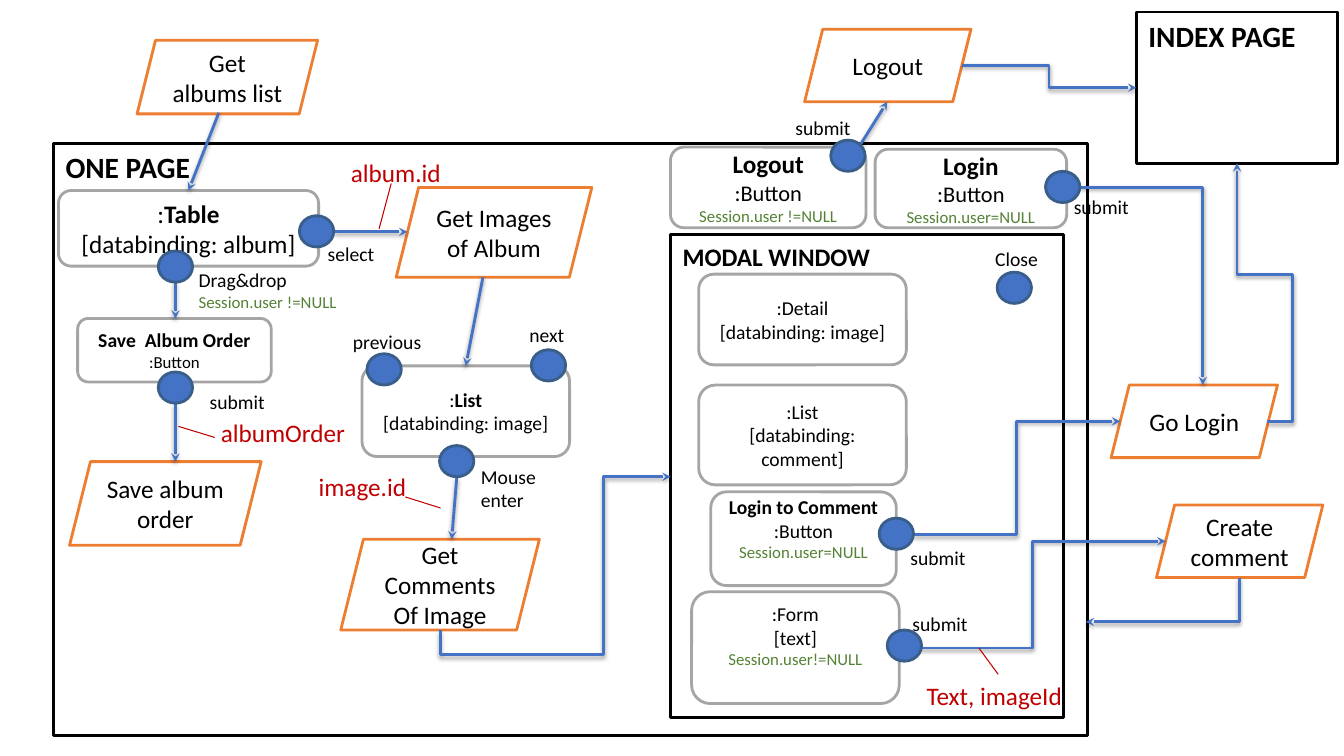
from dataclasses import dataclass

from lxml import etree
from pptx import Presentation
from pptx import util as u
from pptx.dml.color import RGBColor
from pptx.enum import shapes, text
from pptx.oxml import parse_xml
from pptx.oxml.ns import nsdecls, qn

Inches = u.Inches


@dataclass(frozen=True)
class Theme:
    font: str = "Calibri"
    ink: str = "000000"
    paper: str = "FFFFFF"
    action: str = "ED7D31"
    component: str = "A5A5A5"
    flow: str = "4472C4"
    dot_edge: str = "395E89"
    parameter: str = "C00000"
    condition: str = "548235"
    page: int = 21
    large: int = 18
    medium: int = 16
    normal: int = 14
    small: int = 12
    stroke: float = 2
    hairline: float = 0.75


T = Theme()
rgb = RGBColor.from_string
PRESET = shapes.MSO_SHAPE
LEFT, CENTRE = text.PP_ALIGN.LEFT, text.PP_ALIGN.CENTER
TOP, MIDDLE = text.MSO_ANCHOR.TOP, text.MSO_ANCHOR.MIDDLE


def write(shape, lines, size=T.normal, color=T.ink, align=LEFT, anchor=TOP,
          bottom=0.06, fill=None, edge=None):
    """Write lines of text or (text, size, colour); *stars* mark bold."""
    frame = shape.text_frame
    frame.word_wrap = True
    frame.auto_size = text.MSO_AUTO_SIZE.NONE
    frame.vertical_anchor = anchor
    frame.margin_left = frame.margin_right = Inches(0.12)
    frame.margin_top, frame.margin_bottom = Inches(0.06), Inches(bottom)
    for i, line in enumerate(lines):
        words, line_size, line_color = (
            (line, size, color) if isinstance(line, str) else line)
        paragraph = frame.paragraphs[0] if i == 0 else frame.add_paragraph()
        paragraph.alignment = align
        for j, part in enumerate(words.split("*")):
            if part:
                run = paragraph.add_run()
                run.text = part
                run.font.name, run.font.size = T.font, u.Pt(line_size)
                run.font.bold = j % 2 == 1
                run.font.color.rgb = rgb(line_color)
    if fill:
        shape.fill.solid()
        shape.fill.fore_color.rgb = rgb(fill)
    else:
        shape.fill.background()
    if edge:
        shape.line.color.rgb = rgb(edge)
        shape.line.width = u.Pt(T.stroke)
    else:
        shape.line.fill.background()


def connect(x1, y1, x2, y2, bends=0, turned=False, adjust=(),
            color=T.flow, width=T.stroke, arrow=True):
    """Draw a straight line, or an elbow with the given number of bends."""
    if turned:  # the box of a connector turned by 90 degrees
        cx, cy, dx, dy = (x1 + x2) / 2, (y1 + y2) / 2, x2 - x1, y2 - y1
        x1, y1, x2, y2 = cx - dy / 2, cy + dx / 2, cx + dy / 2, cy - dx / 2
    kind = shapes.MSO_CONNECTOR.ELBOW if bends else shapes.MSO_CONNECTOR.STRAIGHT
    line = slide.shapes.add_connector(kind, *map(Inches, (x1, y1, x2, y2)))
    line.line.color.rgb = rgb(color)
    line.line.width = u.Pt(width)
    props = line._element.spPr
    if turned:
        props.find(qn("a:xfrm")).set("rot", "5400000")
    if bends:
        geometry = props.find(qn("a:prstGeom"))
        geometry.set("prst", f"bentConnector{bends + 1}")
        guides = geometry.find(qn("a:avLst"))
        for n, share in enumerate(adjust, 1):
            etree.SubElement(guides, qn("a:gd"), name=f"adj{n}",
                             fmla=f"val {round(share * 100000)}")
    shadow = ""
    if arrow:
        etree.SubElement(props.find(qn("a:ln")), qn("a:tailEnd"), type="stealth")
        shadow = ('<a:outerShdw blurRad="39370" dist="20320" dir="5400000" rotWithShape="0">'
                  '<a:srgbClr val="000000"><a:alpha val="38000"/></a:srgbClr></a:outerShdw>')
    props.append(parse_xml(f"<a:effectLst {nsdecls('a')}>{shadow}</a:effectLst>"))


deck = Presentation()
deck.slide_width, deck.slide_height = Inches(13.33), Inches(7.5)
slide = deck.slides.add_slide(deck.slide_layouts[5])

# Main page frame, carrying the slide title
one_page = slide.shapes.title
one_page.left, one_page.top, one_page.width, one_page.height = map(
    Inches, (0.53, 1.42, 10.26, 5.88))
write(one_page, ["*ONE PAGE*"], size=T.page, fill=T.paper, edge=T.ink)

# Parameters in red; the white ones lie under the diagram
for place, name, fill in [
    ((3.36, 1.5, 1.39, 0.5), "album.id", T.paper),
    ((3.04, 4.62, 1.22, 0.42), "image.id", T.paper),
    ((2.07, 4.08, 1.5, 0.42), "albumOrder", T.paper),
    ((9.07, 6.69, 1.67, 0.5), "Text, imageId", None),
]:
    parameter = slide.shapes.add_textbox(*map(Inches, place))
    write(parameter, [name], size=T.large, color=T.parameter, fill=fill)

# Server actions
for place, name in [
    ((1.36, 0.4, 1.79, 0.73), "Get albums list"),
    ((3.93, 1.86, 1.94, 0.89), "Get Images of Album"),
    ((0.69, 4.58, 1.9, 0.83), "Save album order"),
    ((3.38, 5.35, 1.97, 0.9), "Get Comments Of Image"),
    ((7.98, 0.29, 1.65, 0.72), "Logout"),
    ((11.02, 3.82, 1.65, 0.72), "Go Login"),
    ((11.47, 5.01, 1.65, 0.72), "Create comment"),
]:
    action = slide.shapes.add_shape(PRESET.PARALLELOGRAM, *map(Inches, place))
    action.shadow.inherit = False
    write(action, [name], size=T.large, align=CENTRE, anchor=MIDDLE,
          fill=T.paper, edge=T.action)

# View components
logged_in = ("Session.user !=NULL", T.small, T.condition)
logged_in_form = ("Session.user!=NULL", T.small, T.condition)
logged_out = ("Session.user=NULL", T.small, T.condition)
header_button = (":Button", T.medium, T.ink)
for place, lines, size, bottom in [
    ((0.58, 1.89, 2.58, 0.75), [":*Table*", "[databinding: album]"], T.large, 0.06),
    ((0.77, 3.16, 1.92, 0.63),
     ["*Save  Album Order*", (":Button", T.small, T.ink)], T.normal, 0.06),
    ((3.59, 3.63, 2.06, 0.9), [":*List*", "[databinding: image]"], T.normal, 0.06),
    ((6.65, 1.46, 1.94, 0.8), ["*Logout*", header_button, logged_in], T.large, 0.06),
    ((8.68, 1.48, 1.9, 0.78), ["*Login*", header_button, logged_out], T.large, 0.06),
    ((6.93, 2.72, 2.06, 0.9), [":Detail", "[databinding: image]"], T.normal, 0.06),
    ((6.93, 3.82, 2.06, 0.99), [":List", "[databinding: comment]"], T.normal, 0.06),
    ((7.05, 4.88, 1.84, 0.93),
     ["*Login to Comment*", ":Button", logged_out], T.normal, 0.26),
    ((6.86, 5.87, 2.06, 1.11), [":Form", "[text]", logged_in_form], T.normal, 0.3),
]:
    component = slide.shapes.add_shape(PRESET.ROUNDED_RECTANGLE, *map(Inches, place))
    component.shadow.inherit = False
    write(component, lines, size=size, align=CENTRE, anchor=MIDDLE,
          bottom=bottom, fill=T.paper, edge=T.component)

# Modal window and index page
for place, name, size, fill in [
    ((6.65, 2.33, 3.9, 4.79), "*MODAL WINDOW*", T.large, None),
    ((11.27, 0.12, 2, 1.5), "*INDEX PAGE*", T.page, T.paper),
]:
    window = slide.shapes.add_shape(PRESET.RECTANGLE, *map(Inches, place))
    window.shadow.inherit = False
    write(window, [name], size=size, fill=fill, edge=T.ink)

# Straight flows
for ends in [(2.17, 1.12, 1.87, 1.89), (1.74, 2.8, 1.74, 3.16), (1.74, 4.01, 1.74, 4.58),
             (3.31, 2.3, 4.04, 2.3), (4.79, 2.75, 4.62, 3.63), (4.53, 4.74, 4.48, 5.35),
             (8.53, 1.44, 8.8, 1.01)]:
    connect(*ends)

# Elbow flows
connect(12.29, 5.73, 10.77, 6.17, bends=1, turned=True)
connect(10.71, 1.86, 11.93, 3.82, bends=1)
connect(8.93, 6.43, 11.56, 5.37, bends=2)
connect(9.06, 5.3, 11.11, 4.18, bends=2)
connect(9.54, 0.65, 11.27, 0.87, bends=2)
connect(4.37, 6.25, 6.65, 4.73, bends=3, turned=True, adjust=(-0.16, 0.71))
connect(12.57, 4.18, 12.27, 1.62, bends=3, adjust=(-0.83, 0.57))

# Pointers from parameters to flows
for ends in [(3.76, 2.27, 3.88, 1.82), (4.37, 5.04, 4.02, 4.93),
             (2.13, 4.34, 1.77, 4.23), (9.9, 6.69, 9.71, 6.43)]:
    connect(*ends, color=T.parameter, width=T.hairline, arrow=False)

# Event dots
for x, y in [(2.97, 2.14), (1.57, 2.49), (1.57, 3.69), (3.64, 3.51), (5.27, 3.47),
             (4.36, 4.42), (8.24, 1.39), (10.37, 1.7), (9.89, 2.7), (8.72, 5.14), (8.8, 6.25)]:
    event = slide.shapes.add_shape(PRESET.OVAL, *map(Inches, (x, y, 0.34, 0.31)))
    event.shadow.inherit = False
    write(event, [], fill=T.flow, edge=T.dot_edge)

# Event names
for place, lines in [
    ((3.13, 2.34, 0.72, 0.37), ["select"]),
    ((1.85, 2.6, 1.68, 0.51), ["Drag&drop", logged_in]),
    ((1.96, 3.81, 0.84, 0.35), ["submit"]),
    ((3.38, 3.21, 0.99, 0.32), ["previous"]),
    ((5.13, 3.14, 0.69, 0.31), ["next"]),
    ((4.65, 4.55, 0.91, 0.39), ["Mouse enter"]),
    ((7.77, 1.09, 0.84, 0.35), ["submit"]),
    ((10.53, 1.87, 0.84, 0.35), ["submit"]),
    ((9.75, 2.39, 0.69, 0.31), ["Close"]),
    ((8.91, 5.36, 0.84, 0.35), ["submit"]),
    ((8.93, 6.01, 0.99, 0.4), ["submit"]),
]:
    write(slide.shapes.add_textbox(*map(Inches, place)), lines)

deck.save("out.pptx")
